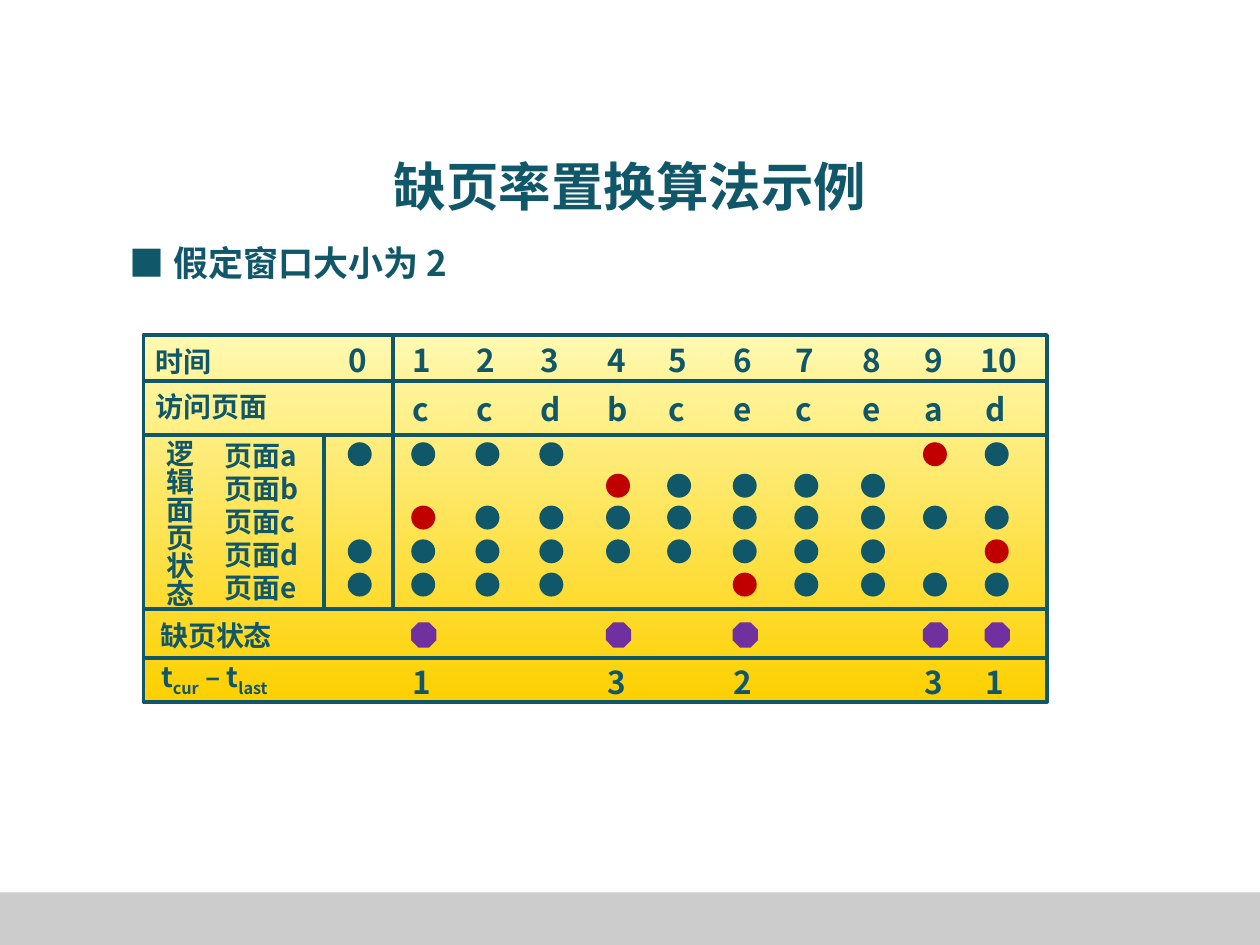
from lxml import etree
from pptx import Presentation
from pptx.dml.color import RGBColor
from pptx.enum import shapes, text
from pptx.oxml.ns import qn
from pptx.util import Pt

COLORS = {
    "ink": "11576A",
    "fault_page": "C00000",
    "fault_mark": "7030A0",
    "grid_top": "FFF9B1",
    "grid_bottom": "FDD000",
    "footer": "CCCCCC",
}
FONT = "Noto Sans CJK SC"
BULLET_FONT = "Noto Sans CJK JP"

LEFT, TOP, RIGHT, BOTTOM = 82, 191.5, 598.3, 401
ROW_LINES = [217.5, 248.4, 347.8, 375.8]
STATE_TOP, STATE_BOTTOM = ROW_LINES[1:3]
DOT, MARK = 13.7, 14.4

# Left edge of the dots for times 0 to 10, and top edge for each page
TIME_X = [198.7, 235, 271.7, 308.2, 346.3, 381.2, 418.7, 453.9, 492, 527.4, 562.7]
PAGE_Y = {"a": 252.7, "b": 270.7, "c": 288.9, "d": 308.2, "e": 327.2}

REQUESTS = "ccdbcecead"
RESIDENT = ["ade", "acde", "acde", "acde", "bcd", "bcd",
            "bcde", "bcde", "bcde", "ace", "acde"]


def rgb(name):
    return RGBColor.from_string(COLORS[name])


def format_paragraph(p, size, font=FONT):
    """Set the bold ink font for both Latin and East Asian letters."""
    p.font.size = Pt(size)
    p.font.bold = True
    p.font.color.rgb = rgb("ink")
    p.font.name = font
    props = p._p.get_or_add_pPr().find(qn("a:defRPr"))
    etree.SubElement(props, qn("a:ea")).set("typeface", font)


def add_text(s, x, y, w, h, words, size, font=FONT, wrap=True):
    tf = s.shapes.add_textbox(Pt(x), Pt(y), Pt(w), Pt(h)).text_frame
    tf.word_wrap = wrap
    tf.vertical_anchor = text.MSO_ANCHOR.MIDDLE
    p = tf.paragraphs[0]
    p.text = words
    format_paragraph(p, size, font)
    return p


def add_cell(s, time, y, words):
    """Write a value in the column of the given time."""
    extra = len(words) - 1
    add_text(s, TIME_X[time] - 6.4 - 3.3 * extra, y, 26 + 10.8 * extra, 28.8,
             words, 18, wrap=False)


def add_shape(s, kind, x, y, w, h, color):
    sp = s.shapes.add_shape(kind, Pt(x), Pt(y), Pt(w), Pt(h))
    sp.shadow.inherit = False
    sp.fill.solid()
    sp.fill.fore_color.rgb = rgb(color)
    sp.line.fill.background()
    return sp


def add_line(s, x1, y1, x2, y2):
    line = s.shapes.add_connector(shapes.MSO_CONNECTOR.STRAIGHT,
                                  Pt(x1), Pt(y1), Pt(x2), Pt(y2))
    line.line.color.rgb = rgb("ink")
    line.line.width = Pt(2.25)
    etree.SubElement(line._element.spPr, qn("a:effectLst"))


def add_title(s, words):
    title = s.shapes.title
    title.left, title.top, title.width, title.height = Pt(0), Pt(84), Pt(720), Pt(44)
    tf = title.text_frame
    tf.text = words
    tf.auto_size = text.MSO_AUTO_SIZE.NONE
    tf.vertical_anchor = text.MSO_ANCHOR.MIDDLE
    p = tf.paragraphs[0]
    p.alignment = text.PP_ALIGN.CENTER
    format_paragraph(p, 30)


def add_grid(s):
    frame = add_shape(s, shapes.MSO_SHAPE.RECTANGLE, LEFT, TOP,
                      RIGHT - LEFT, BOTTOM - TOP, "grid_top")
    frame.fill.gradient()
    frame.fill.gradient_angle = 270
    for stop, color in zip(frame.fill.gradient_stops, ("grid_top", "grid_bottom")):
        stop.color.rgb = rgb(color)
    frame.line.color.rgb = rgb("ink")
    frame.line.width = Pt(2.25)
    for y in ROW_LINES:
        add_line(s, LEFT, y, RIGHT, y)
    add_line(s, 185, STATE_TOP, 185, STATE_BOTTOM)
    add_line(s, 224.6, TOP, 224.6, STATE_BOTTOM)


def add_row_labels(s):
    for words, x, y in (("时间", 82, 193), ("访问页面", 82, 219), ("缺页状态", 84.5, 350)):
        add_text(s, x, y, 100, 26.6, words, 16)
    for i, page in enumerate(PAGE_Y):
        add_text(s, 121.5, 247 + 18.9 * i, 78, 26.6, "页面" + page, 16)

    p = add_text(s, 81.4, 248.4, 43.9, 104.4, "逻辑面页状态", 16)
    p.alignment = text.PP_ALIGN.CENTER
    p.line_spacing = Pt(16)

    p = add_text(s, 85, 374.4, 101.5, 26.6, "t", 16)
    for words, subscript in (("cur", True), (" – t", False), ("last", True)):
        r = p.add_run()
        r.text = words
        if subscript:
            r._r.get_or_add_rPr().set("baseline", "-25000")


def add_time_column(s, time, request, fault):
    """Draw the time, the requested page and the resident pages."""
    add_cell(s, time, 191.5, str(time))
    if request:
        add_cell(s, time, 219, request)
    for page in RESIDENT[time]:
        color = "fault_page" if fault and page == request else "ink"
        add_shape(s, shapes.MSO_SHAPE.OVAL, TIME_X[time], PAGE_Y[page],
                  DOT, DOT, color)


def add_fault(s, time, interval):
    add_shape(s, shapes.MSO_SHAPE.OCTAGON, TIME_X[time], 355.7,
              MARK, MARK, "fault_mark")
    add_cell(s, time, 375.2, str(interval))


def main():
    prs = Presentation()
    prs.slide_width, prs.slide_height = Pt(720), Pt(540)
    s = prs.slides.add_slide(prs.slide_layouts[5])
    add_shape(s, shapes.MSO_SHAPE.RECTANGLE, 0, 510, 720, 30, "footer")
    add_title(s, "缺页率置换算法示例")
    add_text(s, 67, 134, 34, 31.7, "■", 20, BULLET_FONT)
    add_text(s, 92, 134, 237, 31.7, "假定窗口大小为 2", 20)
    add_grid(s)
    add_row_labels(s)

    add_time_column(s, 0, "", False)
    last_fault = 0
    for time, request in enumerate(REQUESTS, 1):
        fault = request not in RESIDENT[time - 1]
        add_time_column(s, time, request, fault)
        if fault:
            add_fault(s, time, time - last_fault)
            last_fault = time
    prs.save("out.pptx")


if __name__ == "__main__":
    main()
